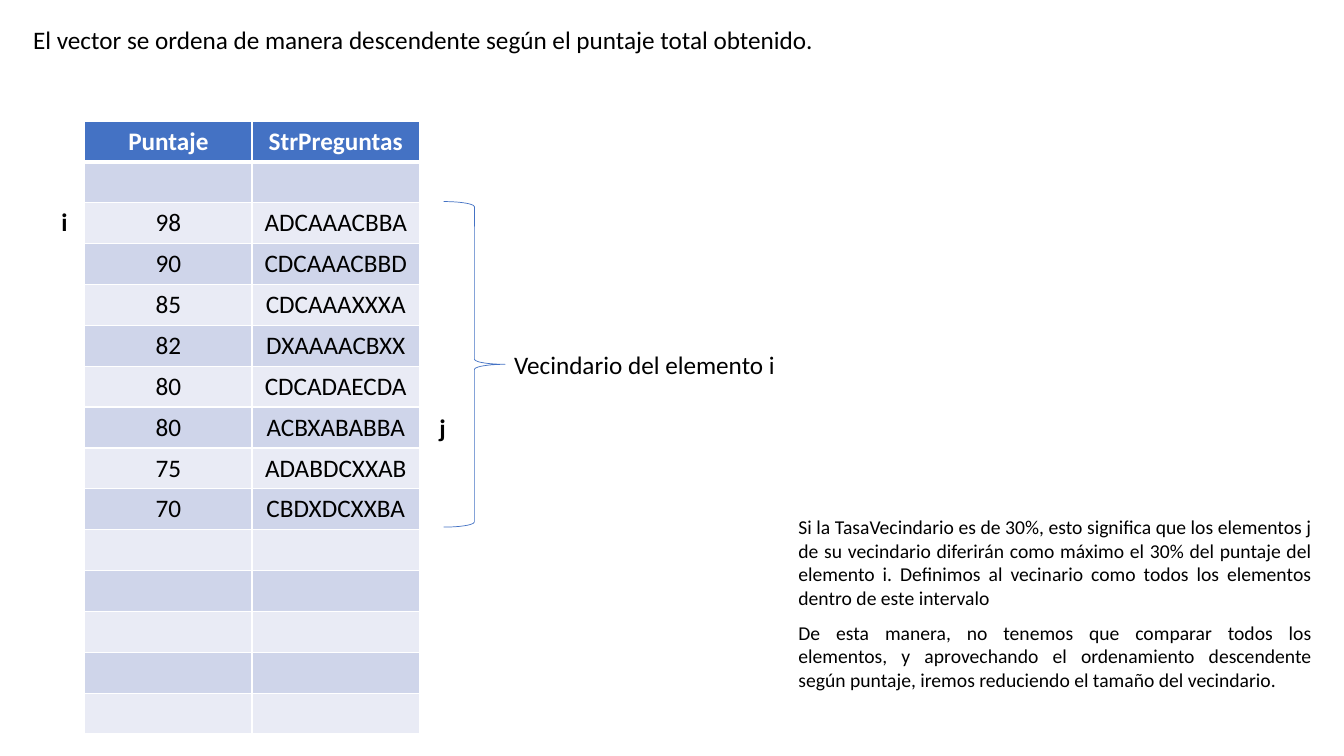
from dataclasses import dataclass

from lxml import etree
from pptx import Presentation, util as u
from pptx.dml.color import RGBColor
from pptx.enum import shapes, text
from pptx.oxml import ns
from pptx.util import Inches


@dataclass(frozen=True)
class Theme:
    font: str = "Calibri"
    body_size: int = 18
    note_size: int = 14
    ink: str = "000000"
    white: str = "FFFFFF"
    accent: str = "4472C4"
    bands: tuple = ("CFD5EA", "E9EBF5")
    thin: int = 1
    thick: int = 3


THEME = Theme()

HEADERS = ("Puntaje", "StrPreguntas")
EMPTY = ("", "")
SCORES = [
    EMPTY,
    ("98", "ADCAAACBBA"),
    ("90", "CDCAAACBBD"),
    ("85", "CDCAAAXXXA"),
    ("82", "DXAAAACBXX"),
    ("80", "CDCADAECDA"),
    ("80", "ACBXABABBA"),
    ("75", "ADABDCXXAB"),
    ("70", "CBDXDCXXBA"),
] + [EMPTY] * 5

NEIGHBOURHOOD_NOTE = (
    "Si la TasaVecindario es de 30%, esto significa que los elementos j de su "
    "vecindario diferirán como máximo el 30% del puntaje del elemento i. "
    "Definimos al vecinario como todos los elementos dentro de este intervalo"
)
ORDER_NOTE = (
    "De esta manera, no tenemos que comparar todos los elementos, y aprovechando "
    "el ordenamiento descendente según puntaje, iremos reduciendo el tamaño del "
    "vecindario."
)


def add_run(paragraph, words, size=THEME.body_size, color=THEME.ink, bold=False):
    run = paragraph.add_run()
    run.text = words
    run.font.name = THEME.font
    run.font.size = u.Pt(size)
    run.font.bold = bold
    run.font.color.rgb = RGBColor.from_string(color)


def add_text(slide, words, left, top, width, height, bold=False):
    """One unwrapped line of body text."""
    frame = slide.shapes.add_textbox(
        Inches(left), Inches(top), Inches(width), Inches(height)).text_frame
    frame.word_wrap = False
    frame.auto_size = text.MSO_AUTO_SIZE.SHAPE_TO_FIT_TEXT
    add_run(frame.paragraphs[0], words, bold=bold)


def add_note(slide, words, top, height):
    """A wrapped, justified explanation at the lower right."""
    frame = slide.shapes.add_textbox(
        Inches(7.82), Inches(top), Inches(5.29), Inches(height)).text_frame
    frame.word_wrap = True
    frame.auto_size = text.MSO_AUTO_SIZE.SHAPE_TO_FIT_TEXT
    paragraph = frame.paragraphs[0]
    paragraph.alignment = text.PP_ALIGN.JUSTIFY
    add_run(paragraph, words, size=THEME.note_size)


def set_borders(cell, top, bottom):
    properties = cell._tc.get_or_add_tcPr()
    widths = {"lnL": THEME.thin, "lnR": THEME.thin, "lnT": top, "lnB": bottom}
    for side, width in widths.items():
        line = etree.SubElement(properties, ns.qn(f"a:{side}"), w=str(u.Pt(width)))
        fill = etree.SubElement(line, ns.qn("a:solidFill"))
        etree.SubElement(fill, ns.qn("a:srgbClr"), val=THEME.white)


def style_cell(cell, words, row):
    is_header = row == 0
    set_borders(cell,
                top=THEME.thick if row == 1 else THEME.thin,
                bottom=THEME.thick if is_header else THEME.thin)
    cell.fill.solid()
    fill = THEME.accent if is_header else THEME.bands[(row - 1) % 2]
    cell.fill.fore_color.rgb = RGBColor.from_string(fill)
    paragraph = cell.text_frame.paragraphs[0]
    paragraph.alignment = text.PP_ALIGN.CENTER
    paragraph.font.size = u.Pt(THEME.body_size)
    if words:
        add_run(paragraph, words, bold=is_header,
                color=THEME.white if is_header else THEME.ink)


def add_score_table(slide):
    rows = [HEADERS] + SCORES
    table = slide.shapes.add_table(
        len(rows), len(HEADERS),
        Inches(0.84), Inches(1.2), Inches(3.32), Inches(6.08)).table
    for row, values in enumerate(rows):
        for column, words in enumerate(values):
            style_cell(table.cell(row, column), words, row)


def add_brace(slide, left, top, width, height):
    brace = slide.shapes.add_shape(
        shapes.MSO_SHAPE.RIGHT_BRACE,
        Inches(left), Inches(top), Inches(width), Inches(height))
    brace.shadow.inherit = False
    brace.fill.background()
    brace.line.color.rgb = RGBColor.from_string(THEME.accent)
    brace.line.width = u.Pt(0.5)


def main():
    presentation = Presentation()
    presentation.slide_width = Inches(13.33)
    presentation.slide_height = Inches(7.5)
    slide = presentation.slides.add_slide(presentation.slide_layouts[6])

    # Sorted vector
    add_score_table(slide)

    # Neighbourhood of element i
    add_brace(slide, 4.4, 2, 0.61, 3.23)
    add_text(slide, "Vecindario del elemento i", 5, 3.42, 2.82, 0.4)
    add_text(slide, "i", 0.51, 2, 0.26, 0.4, bold=True)
    add_text(slide, "j", 4.26, 4.04, 0.27, 0.4, bold=True)

    # Heading and explanation
    add_text(slide,
             "El vector se ordena de manera descendente según el puntaje total obtenido.",
             0.23, 0.19, 8.09, 0.4)
    add_note(slide, NEIGHBOURHOOD_NOTE, 5.06, 1.04)
    add_note(slide, ORDER_NOTE, 6.11, 0.81)

    presentation.save("out.pptx")


if __name__ == "__main__":
    main()
